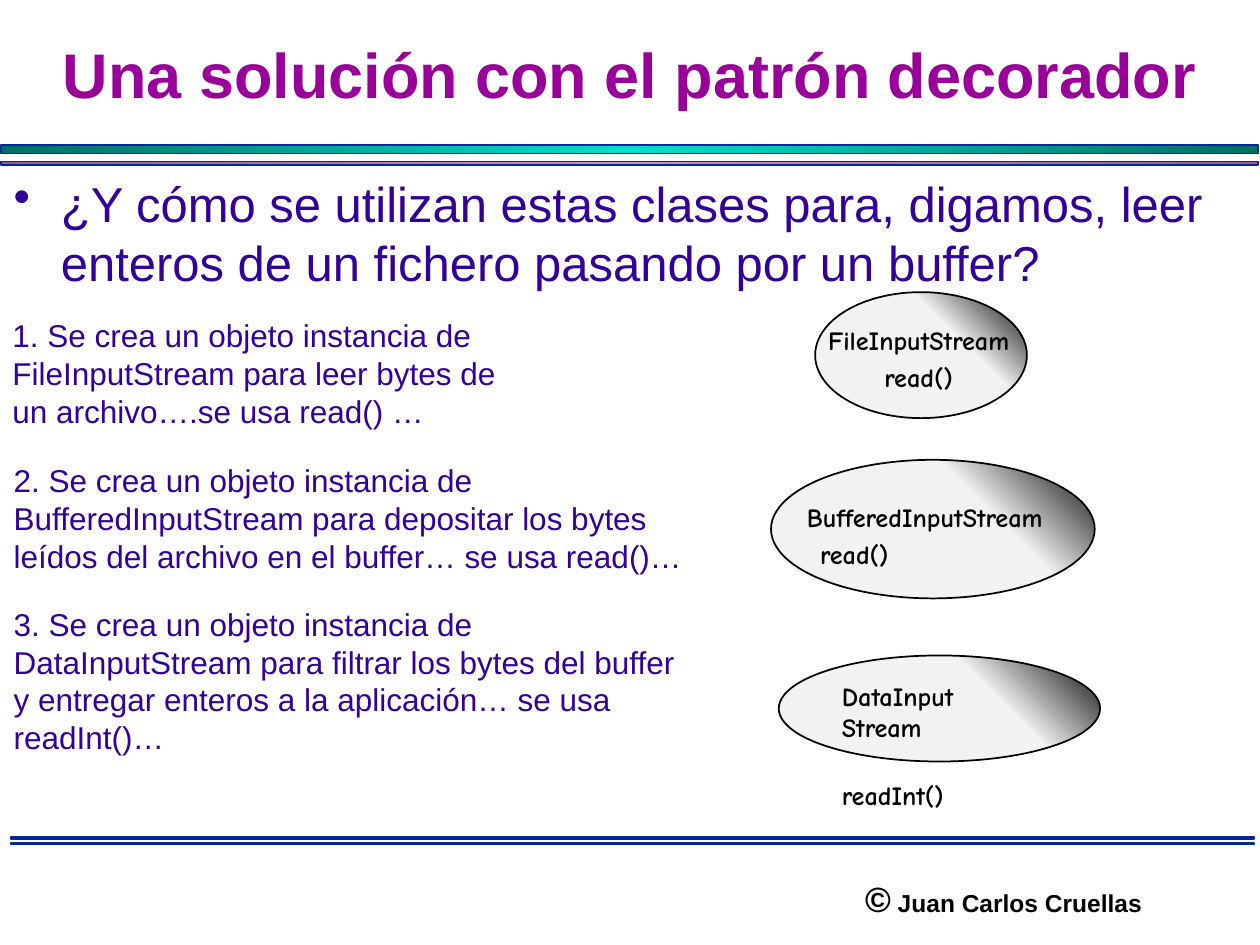
from lxml import etree
from pptx import Presentation
from pptx.dml.color import RGBColor
from pptx.enum import shapes, text
from pptx.oxml import ns
from pptx.util import Pt

PURPLE, INDIGO, NAVY, BLACK = "990099", "330099", "00279F", "000000"
TEAL_BAR = ((0, "006F65"), (50, "00DFCA"), (100, "006F65"))
PINK_BAR = ((0, "976080"), (50, "D989B8"), (100, "976080"))
SHADED = ((0, "F2F2F2"), (32, "F2F2F2"), (66, "F2F2F2"), (100, BLACK))

deck = Presentation()
deck.slide_width, deck.slide_height = Pt(720), Pt(540)
page = deck.slides.add_slide(deck.slide_layouts[6])


def add_gradient_shape(kind, place, stops, line, direction):
    shape = page.shapes.add_shape(kind, *map(Pt, place))
    shape.shadow.inherit = False
    shape.line.color.rgb = RGBColor.from_string(line)
    shape.line.width = Pt(1)
    colors = "".join(
        f'<a:gs pos="{pos * 1000}"><a:srgbClr val="{color}"/></a:gs>'
        for pos, color in stops)
    gradient = etree.fromstring(
        f'<a:gradFill {ns.nsdecls("a")} rotWithShape="1">'
        f'<a:gsLst>{colors}</a:gsLst>{direction}</a:gradFill>')
    shape.fill.background()
    old_fill = shape.fill._xPr.find(ns.qn("a:noFill"))
    old_fill.getparent().replace(old_fill, gradient)
    return shape


def add_text(place, lines, font, size, color, bold=False,
             align=text.PP_ALIGN.LEFT, before=0):
    box = page.shapes.add_textbox(*map(Pt, place))
    frame = box.text_frame
    frame.word_wrap = True
    frame.text = "\n".join(lines)
    for para in frame.paragraphs:
        para.alignment = align
        para.space_before = Pt(before)
        for span in para.runs:
            span.font.name, span.font.size = font, Pt(size)
            span.font.bold = bold
            span.font.color.rgb = RGBColor.from_string(color)
    return box


CENTER = text.PP_ALIGN.CENTER
LEFT = text.PP_ALIGN.LEFT

for place, stops in (
    ((0.7, 82.8, 718, 5), TEAL_BAR),
    ((0.7, 92.2, 718, 2), PINK_BAR),
    ((6.5, 478.4, 710, 1.2), TEAL_BAR),
    ((6.5, 481.9, 710, 0.8), PINK_BAR),
):
    add_gradient_shape(shapes.MSO_SHAPE.RECTANGLE, place, stops, NAVY,
                       '<a:lin ang="0" scaled="1"/>')

footer = add_text((472, 498, 203, 31), ["©"], "Arial", 20, BLACK, True, CENTER)
span = footer.text_frame.paragraphs[0].add_run()
span.text = " Juan Carlos Cruellas"
span.font.name, span.font.size, span.font.bold = "Arial", Pt(14), True
span.font.color.rgb = RGBColor.from_string(BLACK)

title = add_text((0, 18, 720, 48), ["Una solución con el patrón decorador"],
                 "Arial", 36, PURPLE, True, CENTER)
title.fill.solid()
title.fill.fore_color.rgb = RGBColor.from_string("FFFFFF")
title.text_frame.vertical_anchor = text.MSO_ANCHOR.MIDDLE

CORNER = ('<a:path path="circle">'
          '<a:fillToRect t="100000" r="100000"/></a:path>')
for oval_place, label_place, lines, align, indent, gap in (
    ((445, 374.6, 183.6, 60.6), (474, 385, 86, 84),
     ["DataInput\vStream", "readInt()"], LEFT, 0, 21),
    ((440.6, 262.8, 185, 79.2), (445, 283, 167, 48),
     ["BufferedInputStream", "read()"], CENTER, 16.5, 3),
    ((465.8, 167, 121, 72), (461, 182, 128, 46),
     ["FileInputStream", "read()"], CENTER, 0, 3),
):
    oval = add_gradient_shape(shapes.MSO_SHAPE.OVAL, oval_place, SHADED, BLACK, CORNER)
    oval._element.spPr.find(ns.qn("a:xfrm")).set("flipV", "1")
    label = add_text(label_place, lines, "Comic Neue", 15, BLACK, True, align)
    method = label.text_frame.paragraphs[1]
    method.space_before = Pt(gap)
    if indent:
        method.alignment = LEFT
        method._p.get_or_add_pPr().set("marL", str(Pt(indent)))

question = add_text(
    (0.7, 95.8, 719, 64),
    ["¿Y cómo se utilizan estas clases para, digamos, leer enteros "
     "de un fichero pasando por un buffer?"],
    "Arial", 28, INDIGO, before=5.6)
props = question.text_frame.paragraphs[0]._p.get_or_add_pPr()
props.set("marL", str(Pt(27)))
props.set("indent", str(-Pt(27)))
etree.SubElement(props, ns.qn("a:buChar"), char="•")

steps = (
    ((0, 177, 298, 76),
     [" Se crea un objeto instancia de",
      "FileInputStream para leer bytes de",
      "un archivo….se usa read() …"]),
    ((0.7, 260, 404, 75),
     [" Se crea un objeto instancia de BufferedInputStream para depositar "
      "los bytes leídos del archivo en el buffer… se usa read()…"]),
    ((0.7, 342, 404, 93),
     [" Se crea un objeto instancia de DataInputStream para filtrar los bytes "
      "del buffer y entregar enteros a la aplicación… se usa readInt()…"]),
)
for number, (place, lines) in enumerate(steps, 1):
    step = add_text(place, lines, "Arial", 18, INDIGO)
    props = step.text_frame.paragraphs[0]._p.get_or_add_pPr()
    props.set("marL", "0")
    props.set("indent", "0")
    etree.SubElement(props, ns.qn("a:buAutoNum"),
                     type="arabicPeriod", startAt=str(number))

deck.save("out.pptx")
